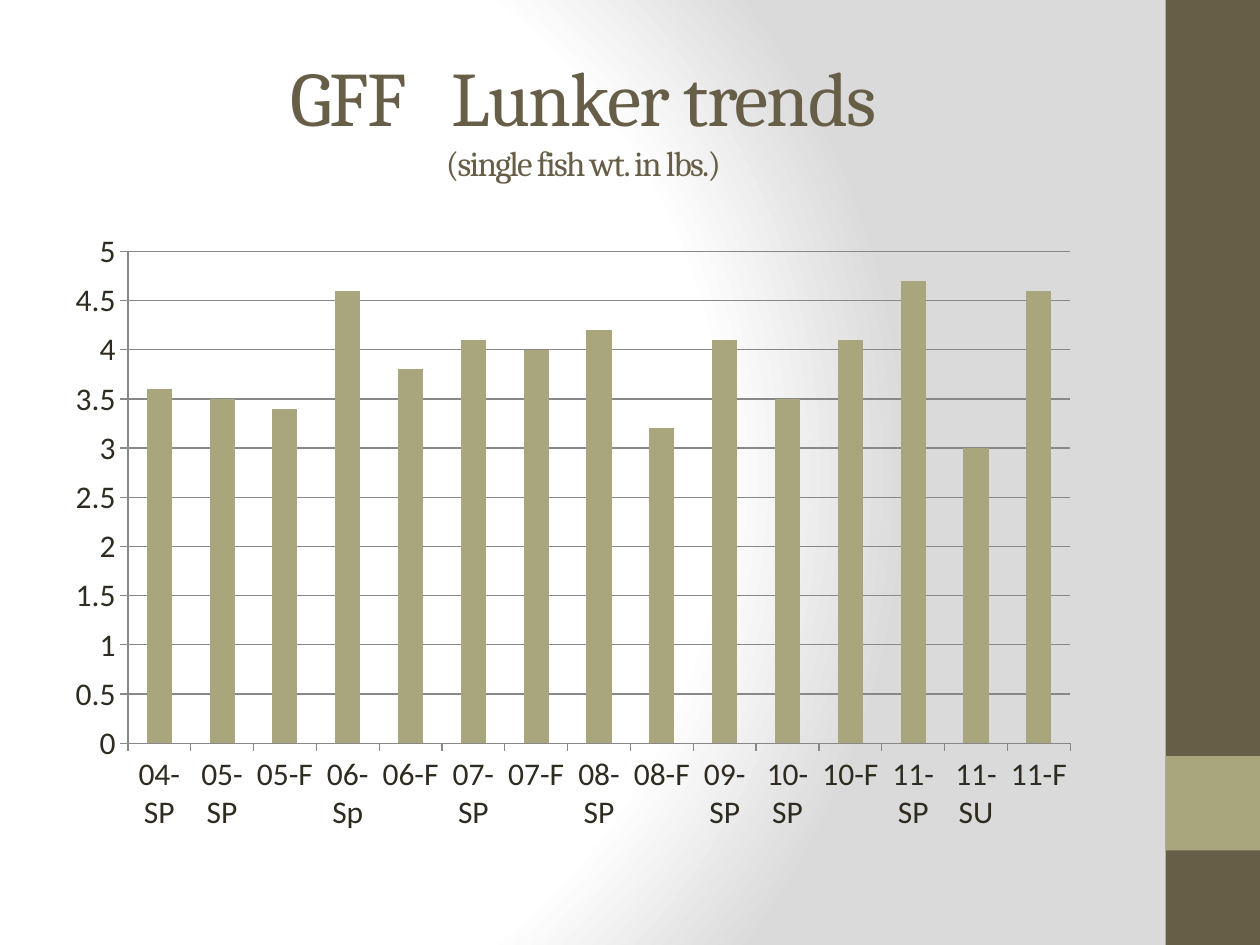
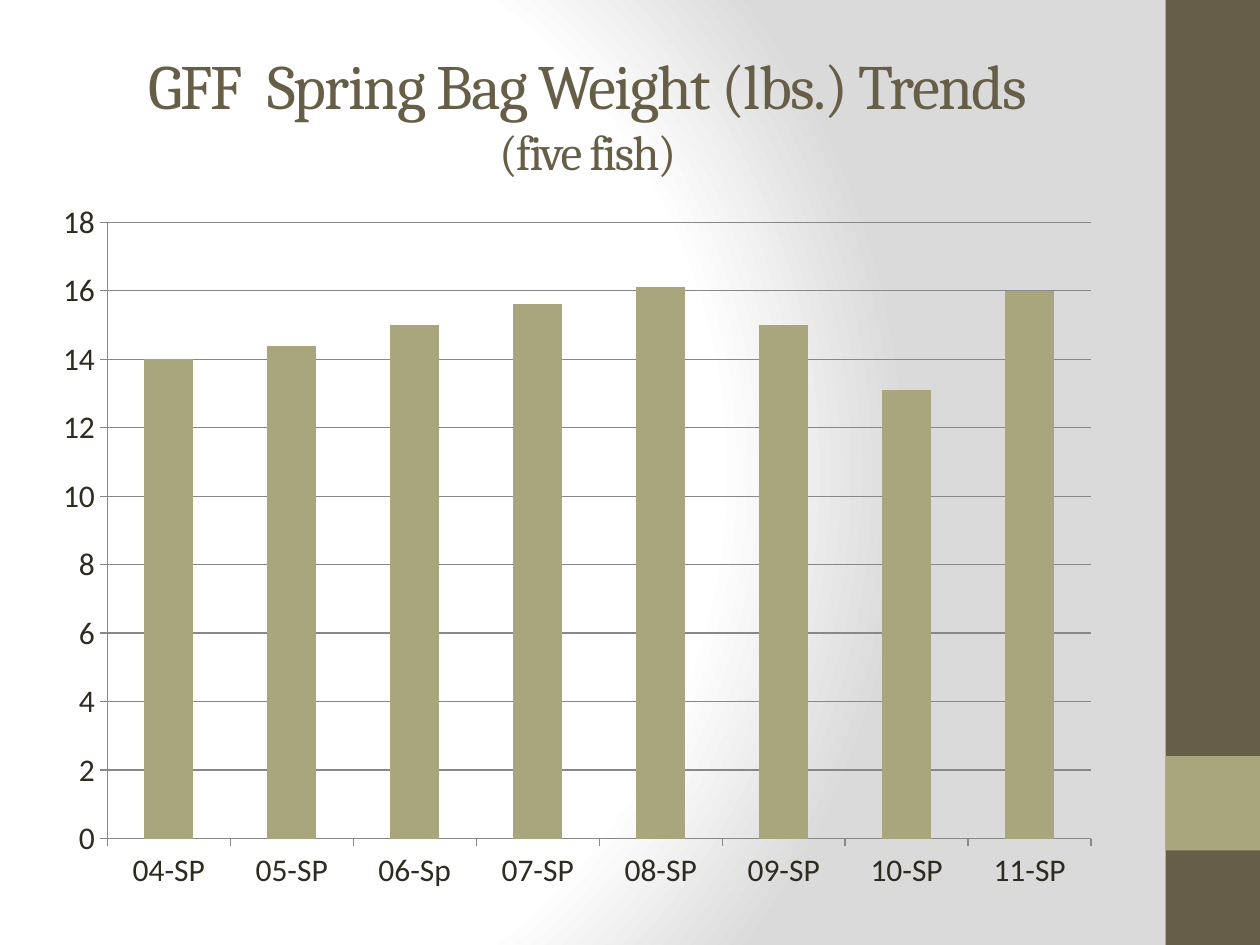
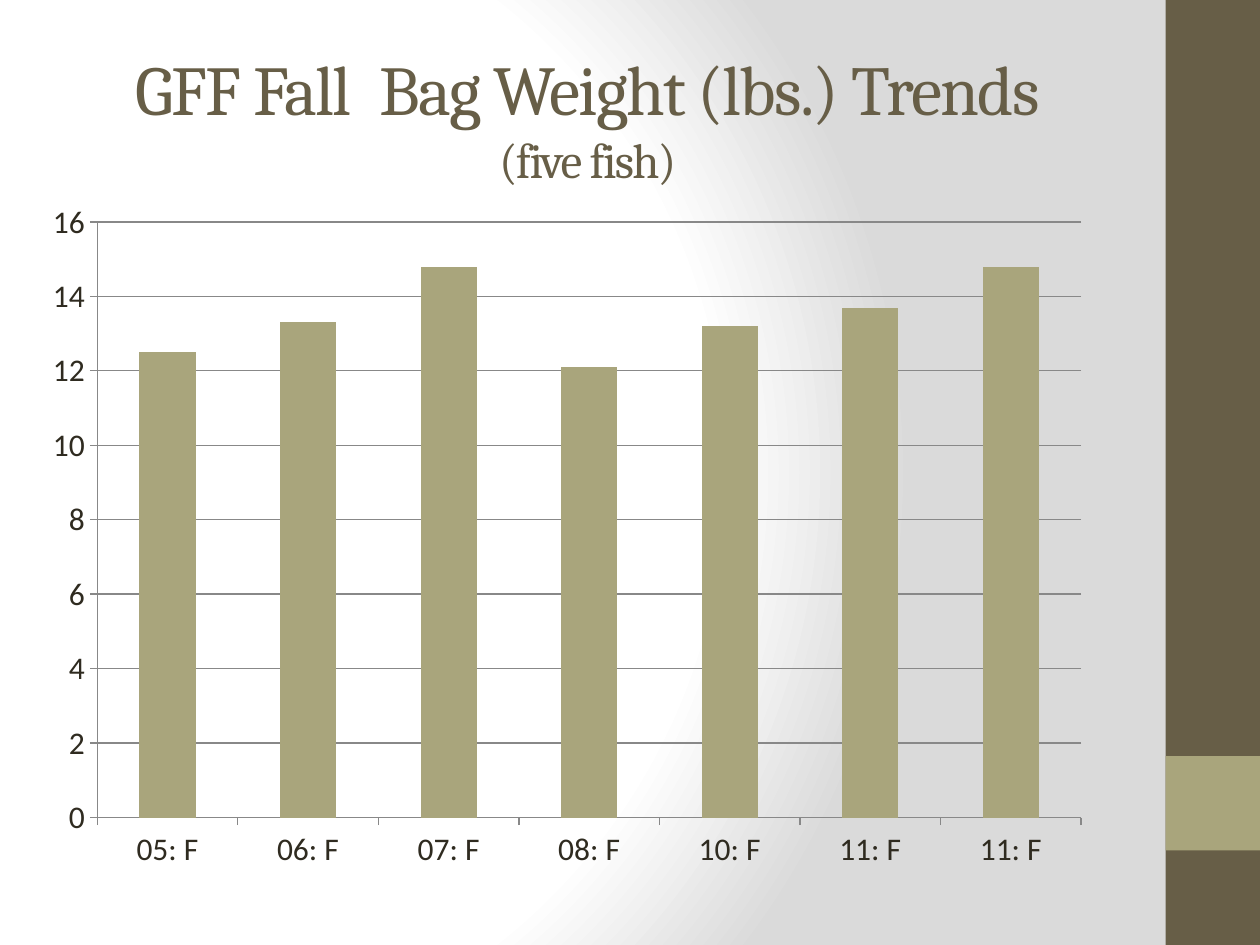
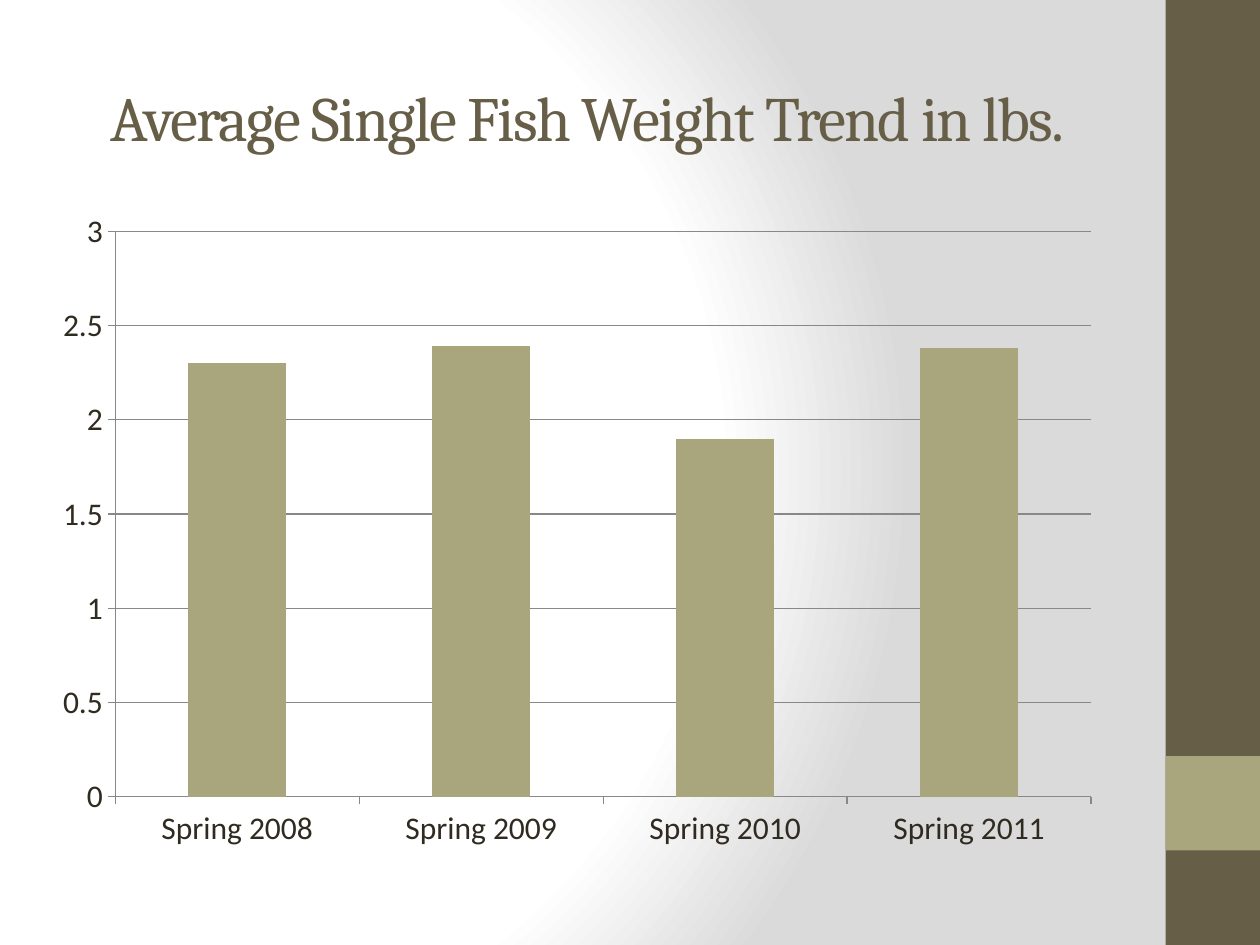
from lxml import etree
from pptx import Presentation
from pptx.chart.data import CategoryChartData
from pptx.dml.color import RGBColor
from pptx.enum.chart import XL_CHART_TYPE, XL_TICK_MARK
from pptx.enum.shapes import MSO_SHAPE
from pptx.enum.text import MSO_ANCHOR, PP_ALIGN
from pptx.oxml import parse_xml
from pptx.oxml.ns import nsdecls, qn
from pptx.util import Inches, Pt

COLUMNS = XL_CHART_TYPE.COLUMN_CLUSTERED
TICK_OUT = XL_TICK_MARK.OUTSIDE
TICK_NONE = XL_TICK_MARK.NONE
RECTANGLE = MSO_SHAPE.RECTANGLE
MIDDLE = MSO_ANCHOR.MIDDLE
CENTER = PP_ALIGN.CENTER

BROWN = RGBColor(0x67, 0x5E, 0x47)
KHAKI = RGBColor(0xA9, 0xA5, 0x7C)
INK = RGBColor(0x2F, 0x2B, 0x20)
WHITE = RGBColor(0xFF, 0xFF, 0xFF)
SILVER = RGBColor(0xDA, 0xDA, 0xDA)
GRID_GRAY = RGBColor(0x88, 0x88, 0x88)

TITLE_FONT = "Cambria"
CHART_FONT = "Calibri"
TIGHT = -1

SLIDES = [
    {
        "title_at": (0.42, 0.3, 8.42, 1.25),
        "title": [("GFF", TIGHT), (" ", 16), ("Lunker trends", TIGHT)],
        "title_size": 44,
        "subtitle": "(single fish wt. in lbs.)",
        "subtitle_size": 20,
        "chart_at": (0.42, 1.5, 8.5, 5.5),
        "weights": [
            ("04-SP", 3.6), ("05-SP", 3.5), ("05-F", 3.4), ("06-Sp", 4.6),
            ("06-F", 3.8), ("07-SP", 4.1), ("07-F", 4), ("08-SP", 4.2),
            ("08-F", 3.2), ("09-SP", 4.1), ("10-SP", 3.5), ("10-F", 4.1),
            ("11-SP", 4.7), ("11-SU", 3), ("11-F", 4.6),
        ],
        "scale": (5, 0.5),
        "plot": {"x": 0.07, "y": 0.09, "w": 0.88, "h": 0.71},
    },
    {
        "title_at": (0.5, 0.25, 8.33, 1.3),
        "title": [("GFF", TIGHT), (" ", 6), ("Spring Bag Weight (lbs.) Trends", TIGHT)],
        "title_size": 36,
        "subtitle": "(five fish)",
        "subtitle_size": 28,
        "chart_at": (0.33, 1.5, 8.5, 5.67),
        "weights": [
            ("04-SP", 14), ("05-SP", 14.4), ("06-Sp", 15), ("07-SP", 15.6),
            ("08-SP", 16.1), ("09-SP", 15), ("10-SP", 13.1), ("11-SP", 16),
        ],
        "scale": (18, 2),
    },
    {
        "title_at": (0.5, 0.3, 8.33, 1.25),
        "title": [("GFF Fall", TIGHT), (" ", 7), ("Bag Weight (lbs.) Trends", TIGHT)],
        "title_size": 40,
        "subtitle": "(five fish)",
        "subtitle_size": 28,
        "chart_at": (0.25, 1.5, 8.5, 5.5),
        "weights": [
            ("05: F", 12.5), ("06: F", 13.3), ("07: F", 14.8), ("08: F", 12.1),
            ("10: F", 13.2), ("11: F", 13.7), ("11: F", 14.8),
        ],
        "scale": (16, 2),
    },
    {
        "title_at": (0.5, 0.3, 8.33, 1.25),
        "title": [("Average Single Fish Weight Trend in lbs.", TIGHT)],
        "title_size": 36,
        "chart_at": (0.33, 1.58, 8.5, 5.25),
        "weights": [
            ("Spring 2008", 2.3), ("Spring 2009", 2.39),
            ("Spring 2010", 1.9), ("Spring 2011", 2.38),
        ],
        "scale": (3, 0.5),
    },
]


def place(at):
    return [Inches(length) for length in at]


def paint_background(page):
    fill = page.background.fill
    fill.solid()
    solid = page.element.find(".//" + qn("p:bgPr")).find(qn("a:solidFill"))
    stops = "".join(
        f'<a:gs pos="{percent * 1000}"><a:srgbClr val="{color}"/></a:gs>'
        for percent, color in [(0, WHITE), (75, WHITE), (100, SILVER)]
    )
    gradient = parse_xml(
        f'<a:gradFill {nsdecls("a")} rotWithShape="1"><a:gsLst>{stops}</a:gsLst>'
        '<a:path path="circle">'
        '<a:fillToRect l="20000" t="50000" r="100000" b="50000"/>'
        "</a:path></a:gradFill>"
    )
    solid.getparent().replace(solid, gradient)


def add_band(page, at, color):
    band = page.shapes.add_shape(RECTANGLE, *place(at))
    band.shadow.inherit = False
    band.fill.solid()
    band.fill.fore_color.rgb = color
    band.line.fill.background()


def add_span(para, text, size, spacing=TIGHT):
    span = para.add_run()
    span.text = text
    span.font.size = Pt(size)
    span._r.get_or_add_rPr().set("spc", str(spacing * 100))


def add_title(page, content):
    box = page.shapes.add_textbox(*place(content["title_at"]))
    frame = box.text_frame
    frame.word_wrap = True
    frame.vertical_anchor = MIDDLE
    para = frame.paragraphs[0]
    para.alignment = CENTER
    para.font.name = TITLE_FONT
    para.font.color.rgb = BROWN
    for text, spacing in content["title"]:
        add_span(para, text, content["title_size"], spacing)
    if "subtitle" in content:
        para.add_line_break()
        add_span(para, content["subtitle"], content["subtitle_size"])


def set_plot_area(chart, plot):
    area = chart.element.find(".//" + qn("c:plotArea"))
    for old in area.findall(qn("c:layout")):
        area.remove(old)
    layout = etree.Element(qn("c:layout"))
    manual = etree.SubElement(layout, qn("c:manualLayout"))
    settings = {"layoutTarget": "inner", "xMode": "edge", "yMode": "edge", **plot}
    for name, value in settings.items():
        etree.SubElement(manual, qn(f"c:{name}")).set("val", str(value))
    area.insert(0, layout)


def style_line(line):
    line.color.rgb = GRID_GRAY
    line.width = Pt(0.75)


def add_weight_chart(page, content):
    data = CategoryChartData()
    names, weights = zip(*content["weights"])
    data.categories = names
    data.add_series("Series 1", weights)
    chart = page.shapes.add_chart(COLUMNS, *place(content["chart_at"]), data).chart
    chart.has_title = False
    chart.has_legend = False
    chart.font.name = CHART_FONT
    chart.font.size = Pt(18)
    chart.font.color.rgb = INK

    columns = chart.plots[0]
    columns.gap_width = 150
    columns.vary_by_categories = False
    series = columns.series[0]
    series.format.fill.solid()
    series.format.fill.fore_color.rgb = KHAKI

    for axis in (chart.category_axis, chart.value_axis):
        axis.major_tick_mark = TICK_OUT
        axis.minor_tick_mark = TICK_NONE
        style_line(axis.format.line)
    value_axis = chart.value_axis
    value_axis.minimum_scale = 0
    value_axis.maximum_scale, value_axis.major_unit = content["scale"]
    value_axis.has_major_gridlines = True
    style_line(value_axis.major_gridlines.format.line)
    if "plot" in content:
        set_plot_area(chart, content["plot"])


def main():
    deck = Presentation()
    deck.slide_width = Inches(10)
    deck.slide_height = Inches(7.5)
    blank = deck.slide_layouts[6]
    for content in SLIDES:
        page = deck.slides.add_slide(blank)
        paint_background(page)
        add_band(page, (9.25, 0, 0.75, 7.5), BROWN)
        add_band(page, (9.25, 6, 0.75, 0.75), KHAKI)
        add_title(page, content)
        add_weight_chart(page, content)
    deck.save("out.pptx")


if __name__ == "__main__":
    main()
